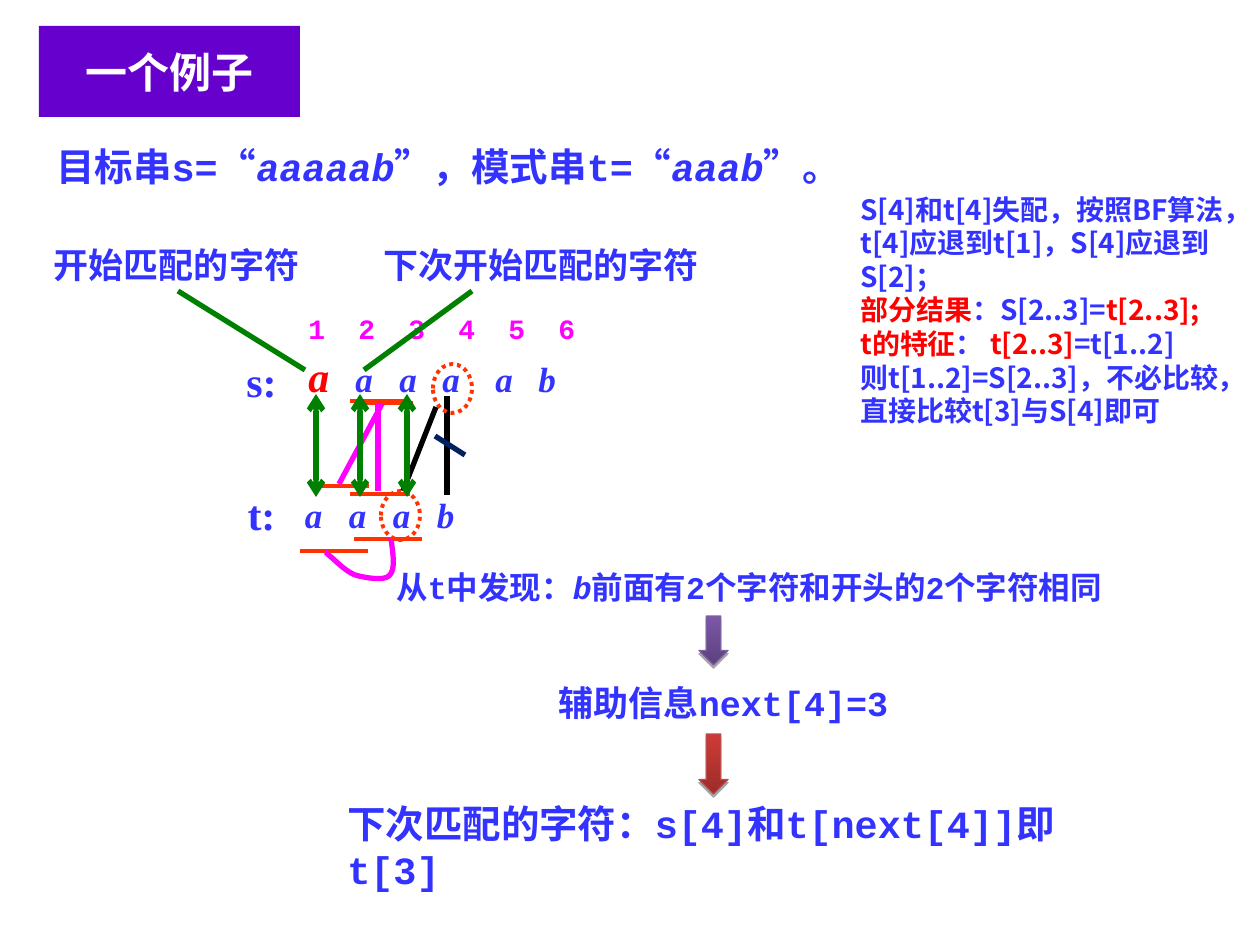
from lxml.etree import SubElement
from pptx import Presentation
from pptx.dml.color import RGBColor
from pptx.enum.dml import MSO_LINE
from pptx.enum.shapes import MSO_CONNECTOR, MSO_SHAPE
from pptx.enum.text import MSO_ANCHOR, PP_ALIGN
from pptx.oxml.ns import qn
from pptx.util import Emu, Pt

BLUE, RED, ORANGE, MAGENTA = "3333FF", "FF0000", "FF3300", "FF00FF"
GREEN, BLACK, NAVY, PURPLE, WHITE = "008000", "000000", "002060", "6600CC", "FFFFFF"
SERIF, MONO, SANS = "Times New Roman", "Courier New", "Noto Sans CJK SC"


def px(value):
    return Emu(round(value * 914400 / 126))


def color(code):
    return RGBColor.from_string(code)


def bezier(points, steps=8):
    for start in range(0, len(points) - 1, 3):
        a, b, c, d = points[start:start + 4]
        for step in range(1, steps + 1):
            t = step / steps
            u = 1 - t
            yield tuple(u**3 * p + 3 * u * u * t * q + 3 * u * t * t * r + t**3 * s
                        for p, q, r, s in zip(a, b, c, d))


class SlideBuilder:
    def __init__(self, slide):
        self.slide = slide
        self.shapes = slide.shapes

    def style_run(self, run, size, font, code, italic=False):
        run.font.size = Pt(size)
        run.font.name = font
        run.font.bold = True
        run.font.italic = italic
        run.font.color.rgb = color(code)
        east_asian = SubElement(run.font._element, qn("a:ea"))
        east_asian.set("typeface", SANS)

    def title(self, text, left, top, width, height):
        shape = self.shapes.title
        shape.left, shape.top, shape.width, shape.height = map(px, (left, top, width, height))
        shape.fill.solid()
        shape.fill.fore_color.rgb = color(PURPLE)
        shape.text_frame.text = text
        shape.text_frame.vertical_anchor = MSO_ANCHOR.MIDDLE
        paragraph = shape.text_frame.paragraphs[0]
        paragraph.alignment = PP_ALIGN.CENTER
        self.style_run(paragraph.runs[0], 24, SERIF, WHITE)

    def text(self, paragraphs, box, size, font, center=False, tabs=(), inset=True):
        shape = self.shapes.add_textbox(*map(px, box))
        frame = shape.text_frame
        frame.word_wrap = True
        if not inset:
            frame.margin_left = frame.margin_top = frame.margin_right = frame.margin_bottom = 0
        for index, parts in enumerate(paragraphs):
            paragraph = frame.add_paragraph() if index else frame.paragraphs[0]
            paragraph.alignment = PP_ALIGN.CENTER if center else PP_ALIGN.LEFT
            if tabs:
                tab_list = SubElement(paragraph._p.get_or_add_pPr(), qn("a:tabLst"))
                for position in tabs:
                    SubElement(tab_list, qn("a:tab"), pos=str(px(position)), algn="l")
            for text, code, italic in parts:
                run = paragraph.add_run()
                run.text = text
                self.style_run(run, size, font, code, italic)
        return shape

    def label(self, text, box, size, font, code=BLUE, italic=False, **options):
        return self.text([[(text, code, italic)]], box, size, font, **options)

    def line(self, start_x, start_y, end_x, end_y, code, width=3, arrows=False):
        connector = self.shapes.add_connector(
            MSO_CONNECTOR.STRAIGHT, *map(px, (start_x, start_y, end_x, end_y)))
        connector.line.color.rgb = color(code)
        connector.line.width = Pt(width)
        if arrows:
            outline = connector.line._get_or_add_ln()
            for end in ("a:headEnd", "a:tailEnd"):
                SubElement(outline, qn(end), type="arrow")
        SubElement(connector._element.spPr, qn("a:effectLst"))

    def underline(self, left, right, y):
        self.line(left, y, right, y, ORANGE, 2.25)

    def dotted_ellipse(self, *box):
        shape = self.shapes.add_shape(MSO_SHAPE.OVAL, *map(px, box))
        shape.shadow.inherit = False
        shape.fill.background()
        shape.line.color.rgb = color(ORANGE)
        shape.line.width = Pt(2.25)
        shape.line.dash_style = MSO_LINE.ROUND_DOT

    def curve(self, points, code):
        builder = self.shapes.build_freeform(*map(px, points[0]))
        builder.add_line_segments([tuple(map(px, point)) for point in bezier(points)], close=False)
        shape = builder.convert_to_shape()
        shape.shadow.inherit = False
        shape.fill.background()
        shape.line.color.rgb = color(code)
        shape.line.width = Pt(3)

    def down_arrow(self, box, dark, light, outline):
        shape = self.shapes.add_shape(MSO_SHAPE.DOWN_ARROW, *map(px, box))
        shape.fill.gradient()
        shape.fill.gradient_angle = 90
        for stop, code in zip(shape.fill.gradient_stops, (dark, light)):
            stop.color.rgb = color(code)
        for stop, position in zip(shape.fill.gradient_stops, (0, 1)):
            stop.position = position
        shape.line.color.rgb = color(outline)
        shape.line.width = Pt(0.75)
        shape.shadow.inherit = False
        effects = shape._element.spPr.find(qn("a:effectLst"))
        shadow = SubElement(effects, qn("a:outerShdw"), dist=str(Pt(1.8)), dir="5400000")
        shade = SubElement(shadow, qn("a:srgbClr"), val=BLACK)
        SubElement(shade, qn("a:alpha"), val="35000")


def main():
    presentation = Presentation()
    presentation.slide_width, presentation.slide_height = px(1260), px(945)
    builder = SlideBuilder(presentation.slides.add_slide(presentation.slide_layouts[5]))

    builder.title("一个例子", 39, 26, 261, 91)

    target = builder.text([[("a", RED, True), ("\ta\ta\ta\ta\tb", BLUE, True)]],
                          (296, 344, 318, 63), 20, SERIF, tabs=(47, 91, 134, 187, 230))
    target.text_frame.paragraphs[0].runs[0].font.size = Pt(24)
    builder.label("1\t2\t3\t4\t5\t6", (296, 305, 328, 47), 16, MONO, MAGENTA,
                  tabs=[50 * step for step in range(1, 6)])
    builder.label("a\ta\ta\tb", (305, 493, 229, 42), 20, SERIF, italic=True,
                  tabs=[44 * step for step in range(1, 4)], inset=False)

    for left, right, y in ((350, 410, 494), (350, 410, 401), (310, 369, 486),
                           (354, 413, 403), (354, 422, 539), (300, 368, 551)):
        builder.underline(left, right, y)
    builder.line(378, 403, 378, 491, MAGENTA)
    builder.line(382, 404, 339, 484, MAGENTA)
    builder.curve([(325, 552), (326, 552), (326, 553), (331, 557), (336, 561), (345, 571),
                   (355, 575), (365, 578), (384, 581), (389, 576), (396, 570), (393, 554),
                   (391, 538)], MAGENTA)

    builder.line(447, 396, 447, 495, BLACK)
    builder.line(435, 436, 465, 455, NAVY)
    builder.dotted_ellipse(433, 364, 39, 49)
    builder.dotted_ellipse(381, 491, 39, 49)
    builder.line(436, 407, 403, 491, BLACK)
    for x in (316, 360, 407):
        builder.line(x, 394, x, 497, GREEN, arrows=True)
    builder.line(178, 291, 305, 370, GREEN)
    builder.line(472, 291, 364, 370, GREEN)

    builder.label("s:", (227, 349, 69, 63), 24, SERIF, center=True)
    builder.label("t:", (227, 482, 69, 63), 24, SERIF, center=True)
    builder.label("开始匹配的字符", (29, 237, 295, 55), 20, SANS, center=True)
    builder.label("下次开始匹配的字符", (364, 237, 354, 55), 20, SANS, center=True)

    builder.text([[("从t中发现：", BLUE, False), ("b", BLUE, True),
                   ("前面有2个字符和开头的2个字符相同", BLUE, False)]],
                 (384, 562, 806, 50), 18, MONO)
    builder.label("辅助信息next[4]=3", (443, 675, 561, 55), 20, MONO, center=True)
    builder.down_arrow((699, 616, 29, 49), "5D417E", "7B57A8", "7D60A0")
    builder.label("下次匹配的字符：s[4]和t[next[4]]即t[3]", (335, 794, 788, 106), 22, MONO)
    builder.down_arrow((699, 734, 29, 60), "9B2D2A", "CE3B37", "BE4B48")

    builder.text([[("目标串s=“", BLUE, False), ("aaaaab", BLUE, True),
                   ("”，模式串t=“", BLUE, False), ("aaab", BLUE, True), ("”。", BLUE, False)]],
                 (44, 137, 852, 106), 22, MONO)
    builder.text([
        [("S[4]和t[4]失配，按照BF算法，t[4]应退到t[1]，S[4]应退到S[2]；", BLUE, False)],
        [("部分结果", RED, False), ("：S[2..3]=", BLUE, False), ("t[2..3];", RED, False)],
        [("t的特征", RED, False), ("： ", BLUE, False), ("t[2..3]", RED, False),
         ("=t[1..2]", BLUE, False)],
        [("则t[1..2]=S[2..3]，不必比较，直接比较t[3]与S[4]即可", BLUE, False)],
    ], (848, 186, 396, 349), 16, SANS)

    presentation.save("out.pptx")


if __name__ == "__main__":
    main()
